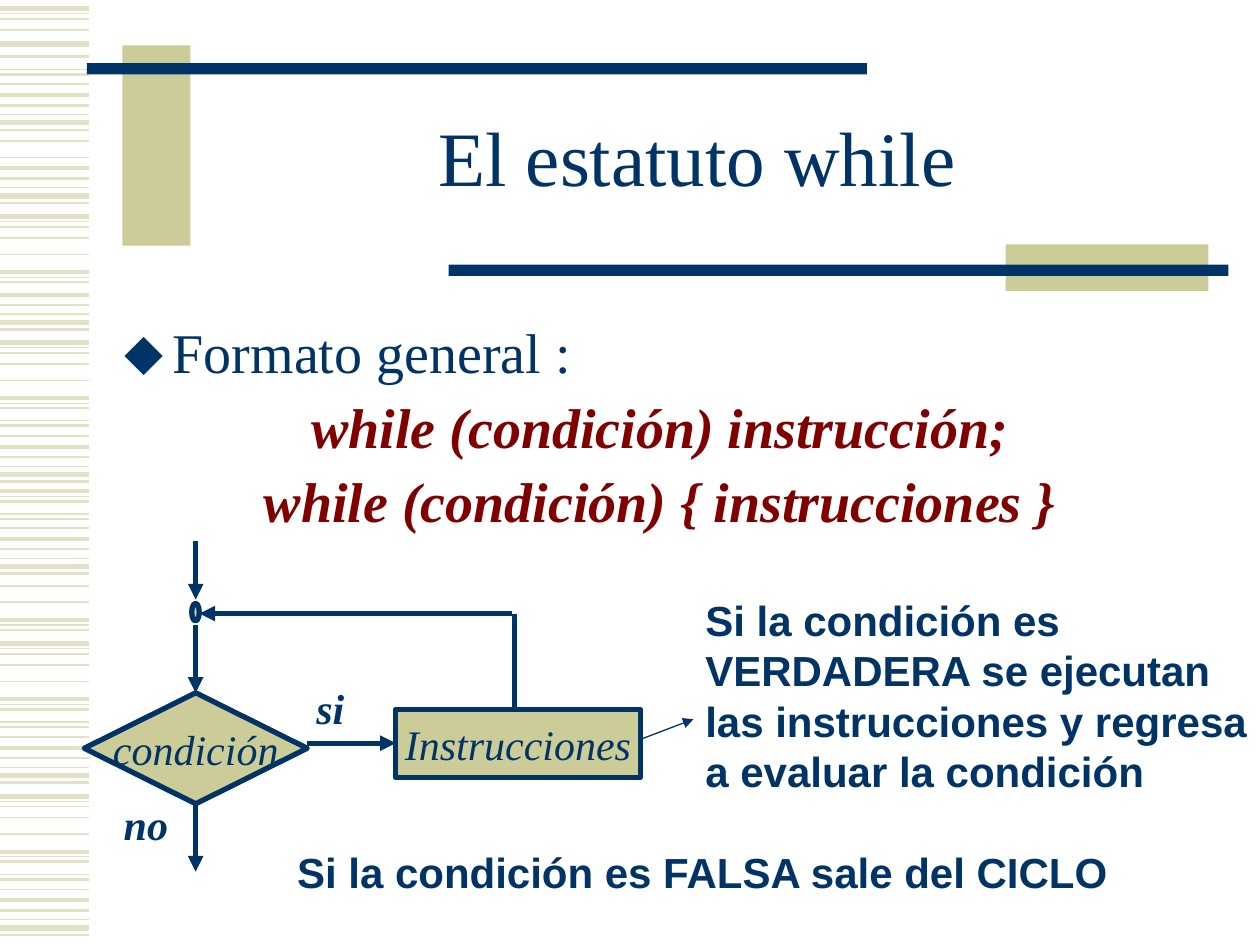
from collections import namedtuple

from lxml.etree import SubElement
from pptx import Presentation
from pptx.dml.color import RGBColor
from pptx.enum.shapes import MSO_CONNECTOR, MSO_SHAPE
from pptx.enum.text import MSO_ANCHOR, MSO_AUTO_SIZE, PP_ALIGN
from pptx.oxml.ns import qn
from pptx.util import Pt

NAVY = RGBColor(0x00, 0x33, 0x66)
KHAKI = RGBColor(0xCC, 0xCC, 0x99)
PALE = RGBColor(0xE3, 0xE2, 0xC7)
MAROON = RGBColor(0x80, 0x00, 0x00)
SERIF = "Times New Roman"
SANS = "Arial"

Box = namedtuple("Box", "left top width height")

WIDE_BAND = [(0, 3), (2.9, 0.75), (5.8, 1), (12.2, 1), (21.6, 1),
             (31.7, 2.25), (34.6, 0.75), (37.4, 1.5), (44.6, 0.75), (47.5, 1.5)]
NARROW_BAND = [(0, 1), (6.2, 2.25), (12, 1.5), (17.3, 0.75), (22, 3), (26, 1.5)]
BANDS = [
    (-5, WIDE_BAND[7:]), (5, WIDE_BAND[:4]), (25.2, WIDE_BAND[:1]),
    (48.2, NARROW_BAND), (59, WIDE_BAND[4:5]), (90, NARROW_BAND),
    (123.8, WIDE_BAND[:8]), (162.2, NARROW_BAND[1:]), (195.8, WIDE_BAND),
    (249.1, NARROW_BAND), (249.1, WIDE_BAND[5:]), (301.7, NARROW_BAND),
    (322.6, WIDE_BAND[3:8]), (367.9, WIDE_BAND), (421.2, NARROW_BAND),
    (455, WIDE_BAND), (508.3, NARROW_BAND),
]


def inside(box, left, top, width, height):
    return Box(box.left + left, box.top + top, width, height)


def place(shape, box):
    shape.left, shape.top, shape.width, shape.height = [Pt(n) for n in box]


def write(para, text, size=24, font=SERIF, color=NAVY, bold=False, italic=False,
          align=PP_ALIGN.LEFT, spacing=1.0, before=0):
    para.alignment = align
    para.line_spacing = spacing
    para.space_before = Pt(before)
    span = para.add_run()
    span.text = text
    span.font.size = Pt(size)
    span.font.name = font
    span.font.color.rgb = color
    span.font.bold = bold
    span.font.italic = italic


def write_lines(frame, lines, **style):
    for index, text in enumerate(lines):
        para = frame.add_paragraph() if index else frame.paragraphs[0]
        write(para, text, **style)


def add_line(page, start, end, color=NAVY, weight=3, arrow=False):
    line = page.shapes.add_connector(
        MSO_CONNECTOR.STRAIGHT, *[Pt(n) for n in (*start, *end)])
    line.line.color.rgb = color
    line.line.width = Pt(weight)
    properties = line._element.spPr
    if arrow:
        SubElement(properties.find(qn("a:ln")), qn("a:tailEnd"), type="triangle")
    SubElement(properties, qn("a:effectLst"))


def add_block(page, kind, box, fill=KHAKI, outlined=False, text=None):
    block = page.shapes.add_shape(kind, *[Pt(n) for n in box])
    block.shadow.inherit = False
    block.fill.solid()
    block.fill.fore_color.rgb = fill
    if outlined:
        block.line.color.rgb = NAVY
        block.line.width = Pt(3)
    else:
        block.line.fill.background()
    if text:
        block.text_frame.word_wrap = False
        block.text_frame.vertical_anchor = MSO_ANCHOR.MIDDLE
        write(block.text_frame.paragraphs[0], text, italic=True,
              align=PP_ALIGN.CENTER)


def add_label(page, box, lines, **style):
    frame = page.shapes.add_textbox(*[Pt(n) for n in box]).text_frame
    frame.word_wrap = False
    frame.auto_size = MSO_AUTO_SIZE.SHAPE_TO_FIT_TEXT
    write_lines(frame, lines, bold=True, **style)


def add_stripes(page, box):
    for start, band in BANDS:
        for offset, weight in band:
            y = box.top + start + offset
            add_line(page, (box.left, y), (box.left + box.width, y), PALE, weight)


def add_frame(page, box):
    parts = [((20.2, 0, 38.9, 114.5), KHAKI), ((0, 10.1, 445.7, 6.5), NAVY),
             ((524.9, 113.8, 115.9, 26.6), KHAKI), ((206.6, 125.3, 445.7, 6.5), NAVY)]
    for part, color in parts:
        add_block(page, MSO_SHAPE.RECTANGLE, inside(box, *part), color)


def raise_placeholder(shape, box):
    place(shape, box)
    shape.element.getparent().append(shape.element)
    frame = shape.text_frame
    frame.word_wrap = True
    frame.auto_size = MSO_AUTO_SIZE.NONE
    return frame


def fill_title(page, box):
    frame = raise_placeholder(page.shapes.title, box)
    frame.vertical_anchor = MSO_ANCHOR.MIDDLE
    write(frame.paragraphs[0], "El estatuto while", size=44,
          align=PP_ALIGN.CENTER, spacing=0.85)


def fill_body(page, box):
    frame = raise_placeholder(page.placeholders[1], box)
    frame.vertical_anchor = MSO_ANCHOR.TOP
    frame.margin_top = Pt(11.6)
    write(frame.paragraphs[0], "Formato general :", size=32, spacing=0.9)
    for text in ("while (condición) instrucción;", "while (condición) { instrucciones }"):
        write(frame.add_paragraph(), text, size=32, color=MAROON, bold=True,
              italic=True, align=PP_ALIGN.CENTER, spacing=0.9, before=8)
    for index, para in enumerate(frame.paragraphs):
        properties = para._p.get_or_add_pPr()
        properties.set("marL", str(Pt(27.4)))
        properties.set("indent", str(-Pt(27.4)))
        if index:
            SubElement(properties, qn("a:buNone"))
        else:
            color = SubElement(properties, qn("a:buClr"))
            SubElement(color, qn("a:srgbClr"), val=str(NAVY))
            SubElement(properties, qn("a:buChar"), char="⬥")


def add_flowchart(page, box):
    def point(x, y):
        return box.left + x, box.top + y

    axis, loop = 63.6, 41.7
    add_block(page, MSO_SHAPE.FLOWCHART_DECISION, inside(box, 0, 87, 127.4, 63.4),
              outlined=True, text="condición")
    add_block(page, MSO_SHAPE.RECTANGLE, inside(box, 178, 96.4, 139.7, 38.9),
              outlined=True, text="Instrucciones")
    for top, bottom in ((0, 33.7), (48.1, 87), (150.4, 189.2)):
        add_line(page, point(axis, top), point(axis, bottom), arrow=True)
    add_line(page, point(127, 115.8), point(178, 115.8), arrow=True)
    add_line(page, point(244.3, loop), point(65.8, loop), arrow=True)
    add_line(page, point(245.8, 95.6), point(245.8, loop))
    add_block(page, MSO_SHAPE.OVAL, inside(box, 61.4, 35.9, 4.3, 10.1), outlined=True)
    add_label(page, inside(box, 125.5, 77.6, 30.2, 36), ["si"], italic=True)
    add_label(page, inside(box, 15.4, 143.9, 39.6, 36), ["no"], italic=True)
    add_line(page, point(317.8, 113.6), point(348, 102.1), weight=0.75, arrow=True)


def add_notes_on_flow(page, box):
    add_label(page, inside(box, 233.3, 0, 324, 122.4),
              ["Si la condición es", "VERDADERA se ejecutan",
               "las instrucciones y regresa", "a evaluar la condición"], font=SANS)
    add_label(page, inside(box, 0, 144, 479.5, 36),
              ["Si la condición es FALSA sale del CICLO"], font=SANS)


def main():
    deck = Presentation()
    deck.slide_width, deck.slide_height = Pt(720), Pt(540)
    page = deck.slides.add_slide(deck.slide_layouts[1])
    add_stripes(page, Box(0, 0, 51.1, 540))
    add_frame(page, Box(49.7, 25.9, 652.3, 140.4))
    fill_title(page, Box(108, 48.2, 581, 90))
    fill_body(page, Box(64.1, 174.2, 626.4, 136.1))
    add_flowchart(page, Box(48.2, 308.9, 348, 189.2))
    add_notes_on_flow(page, Box(162.7, 336.2, 557.3, 180))
    deck.save("out.pptx")


if __name__ == "__main__":
    main()
